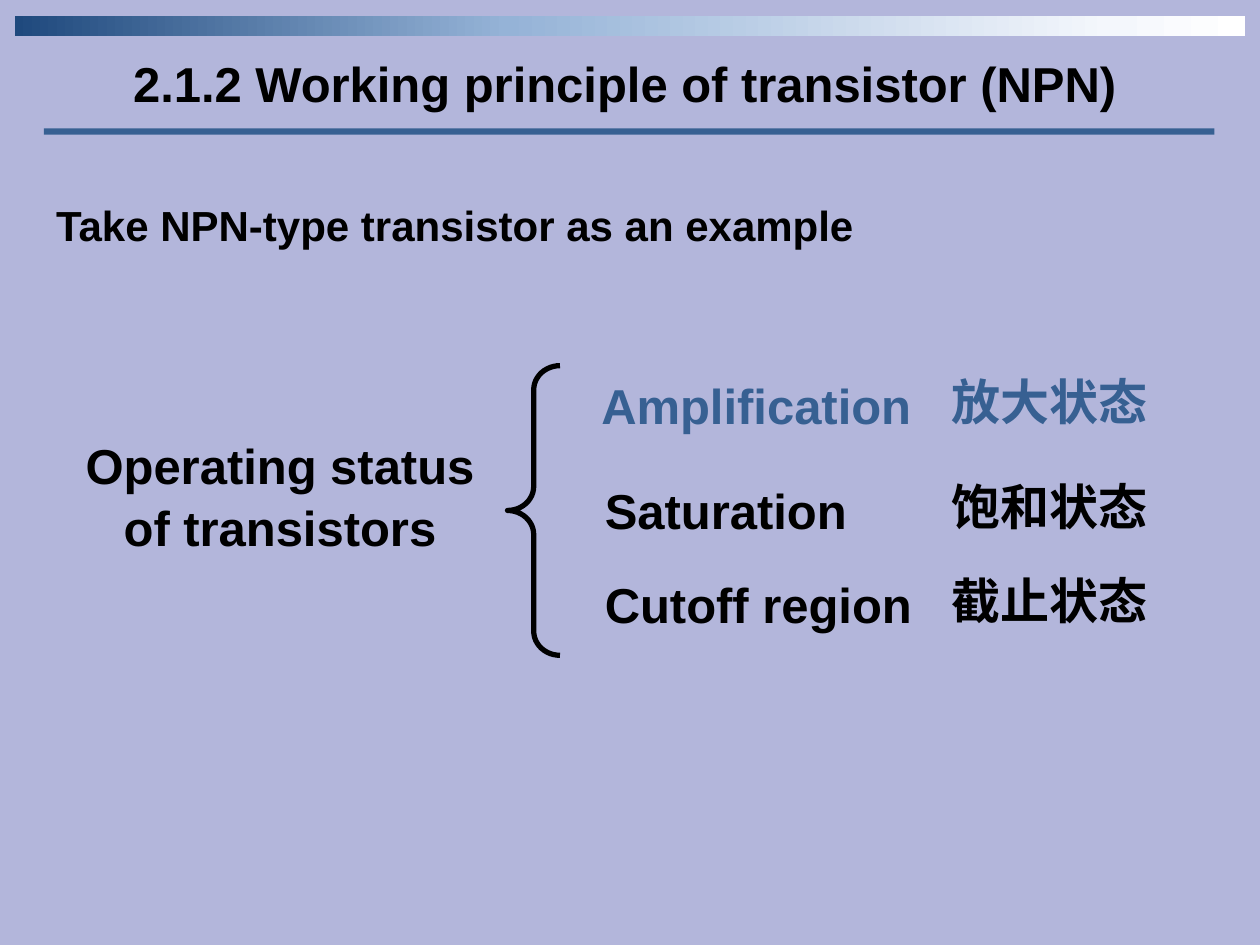
from pptx import Presentation
from pptx.dml.color import RGBColor as RGB
from pptx.enum.shapes import MSO_SHAPE as SHAPE
from pptx.enum.text import MSO_ANCHOR as ANCHOR, PP_ALIGN as ALIGN
from pptx.oxml.ns import qn
from pptx.util import Pt
from lxml import etree

COLORS = {
    "background": "B3B6DB",
    "accent": "376092",
    "text": "000000",
}
BAR_STOPS = [(0, "1F497D"), (40, "95B3D7"), (89, "F4F7FC"), (100, "FFFFFF")]
LATIN, CHINESE = "Arial", "Noto Sans CJK SC"
STATES = [
    ("Amplification", "放大状态", "accent", 210),
    ("Saturation", "饱和状态", "text", 270),
    ("Cutoff region", "截止状态", "text", 324),
]


def write(sp, text, size=28, font=LATIN, color="text", align=ALIGN.LEFT, spacing=1.05):
    tf = sp.text_frame
    tf.word_wrap = True
    tf.vertical_anchor = ANCHOR.MIDDLE
    p = tf.paragraphs[0]
    p.alignment = align
    p.line_spacing = spacing
    r = p.add_run()
    r.text = text
    r.font.size = Pt(size)
    r.font.bold = True
    r.font.name = font
    r.font.color.rgb = RGB.from_string(COLORS[color])
    etree.SubElement(r.font._element, qn("a:ea"), typeface=font)


def add_text(slide, box, text, **fmt):
    sp = slide.shapes.add_textbox(*map(Pt, box))
    write(sp, text, **fmt)


def add_rect(slide, box):
    sp = slide.shapes.add_shape(SHAPE.RECTANGLE, *map(Pt, box))
    sp.shadow.inherit = False
    sp.line.fill.background()
    return sp


def add_gradient_bar(slide, box):
    sp = add_rect(slide, box)
    sp.fill.gradient()
    sp.fill.gradient_angle = 0
    stops = sp.fill._fill._gradFill.find(qn("a:gsLst"))
    for stop in list(stops):
        stops.remove(stop)
    for percent, color in BAR_STOPS:
        stop = etree.SubElement(stops, qn("a:gs"), pos=str(percent * 1000))
        etree.SubElement(stop, qn("a:srgbClr"), val=color)


def add_header(slide, box):
    left, top, width, height = box
    add_gradient_bar(slide, (left, top, width, 11.5))
    title = slide.shapes.title
    title.left, title.top = Pt(left + 39.5), Pt(top + 17)
    title.width, title.height = Pt(618), Pt(41)
    write(title, "2.1.2 Working principle of transistor (NPN)", align=ALIGN.CENTER)
    rule = add_rect(slide, (left + 16.5, top + height - 3.6, width - 34, 3.6))
    rule.fill.solid()
    rule.fill.fore_color.rgb = RGB.from_string(COLORS["accent"])


def add_brace(slide, box):
    sp = slide.shapes.add_shape(SHAPE.LEFT_BRACE, *map(Pt, box))
    sp.shadow.inherit = False
    sp.fill.background()
    sp.line.color.rgb = RGB.from_string(COLORS["text"])
    sp.line.width = Pt(3)
    sp.adjustments[0] = 0.46
    sp.adjustments[1] = 0.5


def add_status_tree(slide, box):
    left, top, width, height = box
    add_text(slide, (left, top + 36, 261, 75), "Operating status of transistors",
             align=ALIGN.CENTER)
    add_brace(slide, (left + 260.5, top, 30, height))
    for english, chinese, color, y in STATES:
        indent = 0 if color == "accent" else 2
        add_text(slide, (left + 307 + indent, y, 203, 41), english, color=color)
        add_text(slide, (left + 507, y - 1.5, width - 507, 41), chinese,
                 font=CHINESE, color=color, spacing=1.0)


def main():
    prs = Presentation()
    prs.slide_width, prs.slide_height = Pt(720), Pt(540)
    slide = prs.slides.add_slide(prs.slide_layouts[5])
    slide.background.fill.solid()
    slide.background.fill.fore_color.rgb = RGB.from_string(COLORS["background"])
    add_header(slide, (8.5, 9, 703, 68))
    add_text(slide, (25, 109.5, 595, 36), "Take NPN-type transistor as an example", size=24)
    add_status_tree(slide, (29.5, 209, 645, 165.5))
    prs.save("out.pptx")


if __name__ == "__main__":
    main()
